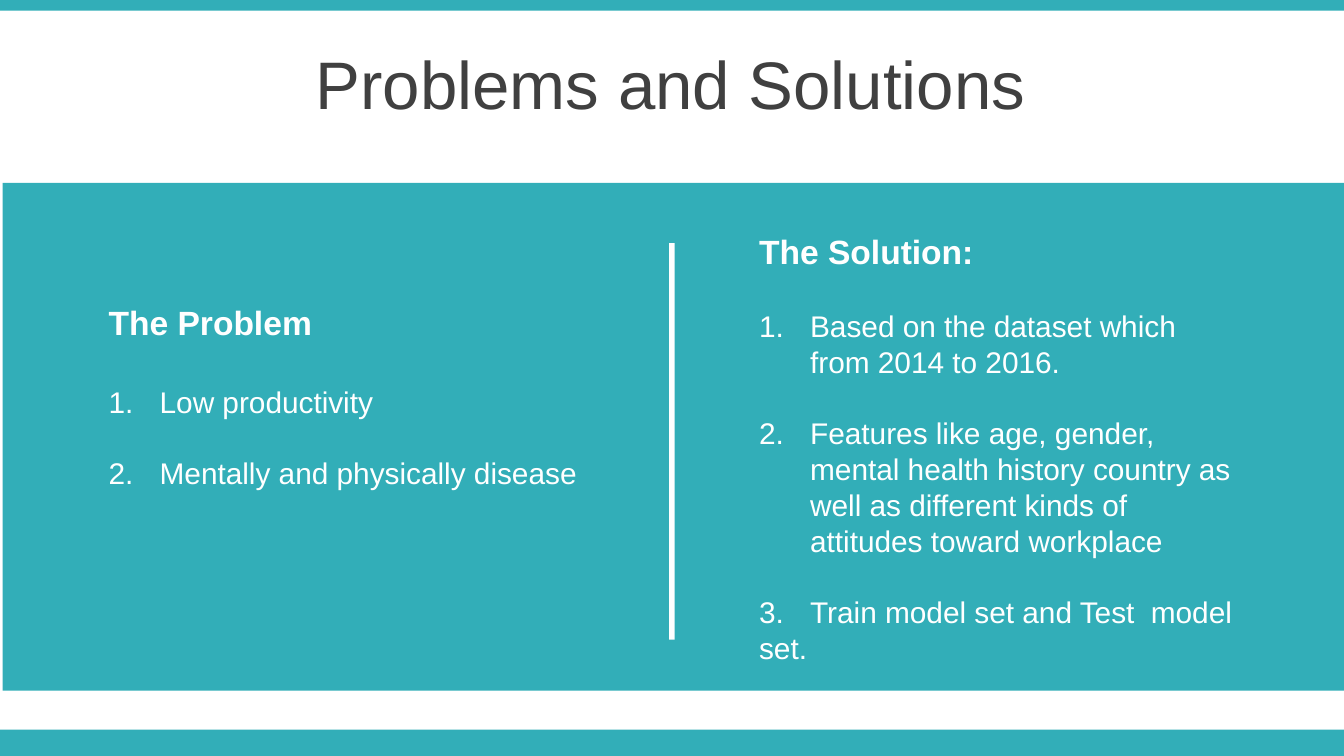
from lxml.etree import SubElement
from pptx import Presentation
from pptx.dml.color import RGBColor
from pptx.enum.shapes import MSO_SHAPE
from pptx.enum.text import MSO_ANCHOR, PP_ALIGN
from pptx.oxml.ns import qn
from pptx.util import Inches, Pt

TEAL = "32AEB8"
WHITE = "FFFFFF"
DARK = "404040"
INDENT = Inches(0.38)
POINT_GAP = 19


def color(hex_value):
    return RGBColor.from_string(hex_value)


def write(paragraph, text, size=16, bold=False, ink=WHITE, align=PP_ALIGN.LEFT, before=0, layout=None):
    paragraph.alignment = align
    paragraph.space_before = Pt(before)
    run = paragraph.add_run()
    run.text = text
    run.font.name = "Arial"
    run.font.size = Pt(size)
    run.font.bold = bold
    run.font.color.rgb = color(ink)
    properties = paragraph._p.get_or_add_pPr()
    if layout == "numbered":
        properties.set("marL", str(INDENT))
        properties.set("indent", str(-INDENT))
        SubElement(properties, qn("a:buAutoNum"), type="arabicPeriod")
    elif layout == "tabbed":
        stops = SubElement(properties, qn("a:tabLst"))
        SubElement(stops, qn("a:tab"), pos=str(INDENT), algn="l")


presentation = Presentation()
presentation.slide_width = Inches(10)
presentation.slide_height = Inches(10 * 9 / 16)
slide = presentation.slides.add_slide(presentation.slide_layouts[6])

bands = [
    (0, 5.43, 10, 0.2, TEAL),
    (0, 0, 10, 0.08, TEAL),
    (0.02, 1.36, 10, 3.78, TEAL),
    (4.98, 1.81, 0.04, 2.95, WHITE),
]
for left, top, width, height, fill in bands:
    band = slide.shapes.add_shape(
        MSO_SHAPE.RECTANGLE, Inches(left), Inches(top), Inches(width), Inches(height))
    band.shadow.inherit = False
    band.fill.solid()
    band.fill.fore_color.rgb = color(fill)
    band.line.fill.background()

title = slide.shapes.add_textbox(Inches(-0.01), Inches(0.3), Inches(10), Inches(0.63)).text_frame
title.word_wrap = True
title.vertical_anchor = MSO_ANCHOR.MIDDLE
write(title.paragraphs[0], "Problems and Solutions", size=36, ink=DARK, align=PP_ALIGN.CENTER)

columns = [
    (0.71, 2.2, 3.76, 1.78, "The Problem", 21.8, [
        ("Low productivity", "numbered"),
        ("Mentally and physically disease", "numbered"),
    ]),
    (5.55, 1.67, 3.74, 3.6, "The Solution:", 19.5, [
        ("Based on the dataset which from 2014 to 2016.", "numbered"),
        ("Features like age, gender, mental health history country as well as "
         "different kinds of attitudes toward workplace", "numbered"),
        ("3.\tTrain model set and Test  model set.", "tabbed"),
    ]),
]
for left, top, width, height, heading, heading_gap, points in columns:
    column = slide.shapes.add_textbox(
        Inches(left), Inches(top), Inches(width), Inches(height)).text_frame
    column.word_wrap = True
    write(column.paragraphs[0], heading, size=18, bold=True)
    for index, (point, layout) in enumerate(points):
        gap = POINT_GAP if index else heading_gap
        write(column.add_paragraph(), point, before=gap, layout=layout)

presentation.save("out.pptx")
